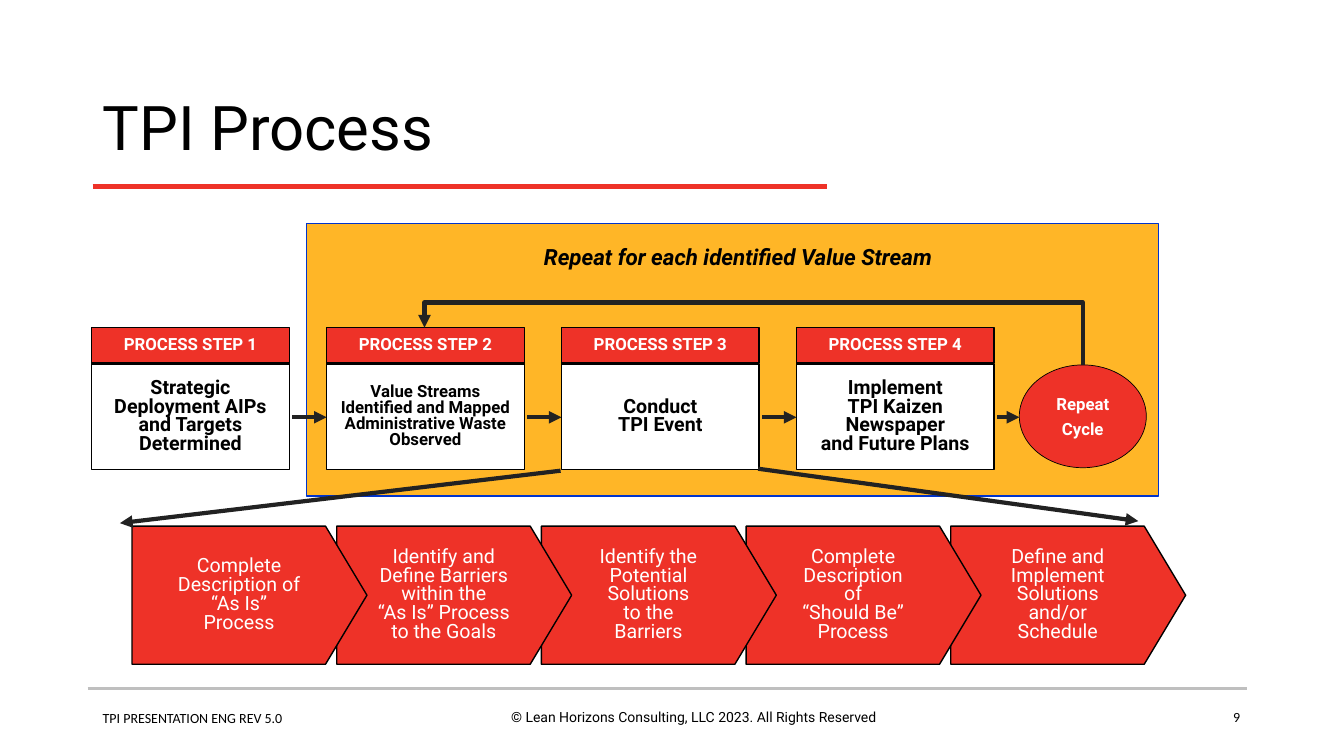
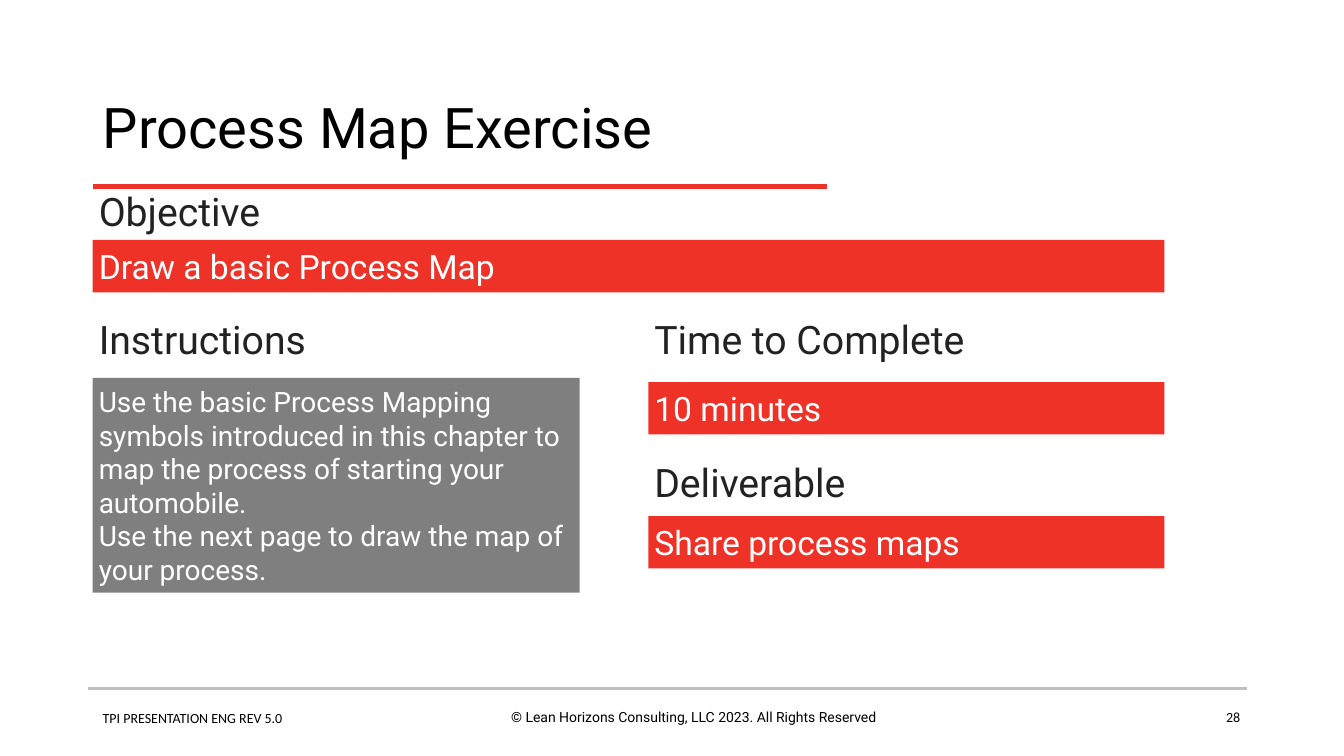
from dataclasses import dataclass

from lxml.etree import SubElement
from pptx import Presentation
from pptx.dml.color import RGBColor
from pptx.enum.shapes import MSO_CONNECTOR, MSO_SHAPE
from pptx.enum.text import MSO_ANCHOR, MSO_AUTO_SIZE, PP_ALIGN
from pptx.oxml.ns import qn
from pptx.util import Inches, Pt


@dataclass(frozen=True)
class Theme:
    red: str = "EE3228"
    amber: str = "FFB627"
    blue: str = "0033CC"
    gray: str = "7F7F7F"
    pale: str = "BFBFBF"
    dark: str = "222222"
    black: str = "000000"
    white: str = "FFFFFF"
    face: str = "Roboto"
    plain: str = "Calibri"
    foot: int = 10
    small: int = 12
    body: int = 14
    label: int = 16
    note: int = 20
    bar: int = 24
    head: int = 28


theme = Theme()
MIDDLE = {"vertical_anchor": MSO_ANCHOR.MIDDLE}
TIGHT = {f"margin_{side}": Inches(0.06) for side in ("left", "top", "right", "bottom")}
FIXED = {**MIDDLE, "word_wrap": False}
CENTER = {"alignment": PP_ALIGN.CENTER}
DENSE = {**CENTER, "line_spacing": 0.8}


def put(slide, at, texts, kind=None, fill=None, edge=None, width=1,
        ink=theme.black, frame=None, para=None, **font):
    """Place a title, a text box (no kind) or a preset shape, one paragraph per text."""
    spot = [Inches(n) for n in at]
    if kind == "title":
        shape = slide.shapes.title
        shape.left, shape.top, shape.width, shape.height = spot
    elif kind is None:
        shape = slide.shapes.add_textbox(*spot)
    else:
        shape = slide.shapes.add_shape(kind, *spot)
        shape.shadow.inherit = False
        shape.fill.solid()
        shape.fill.fore_color.rgb = RGBColor.from_string(fill)
        if edge:
            shape.line.color.rgb = RGBColor.from_string(edge)
            shape.line.width = Pt(width)
        else:
            shape.line.fill.background()
    area = shape.text_frame
    settings = {"auto_size": MSO_AUTO_SIZE.NONE, "word_wrap": True, **(frame or {})}
    for key, value in settings.items():
        setattr(area, key, value)
    for i, text in enumerate(texts):
        item = area.add_paragraph() if i else area.paragraphs[0]
        item.text = text
        for key, value in {"alignment": PP_ALIGN.LEFT, **(para or {})}.items():
            if i or key != "space_before":
                setattr(item, key, value)
        for key, value in {"name": theme.face, **font}.items():
            setattr(item.font, key, Pt(value) if key == "size" else value)
        item.font.color.rgb = RGBColor.from_string(ink)
    return shape


def join(slide, start, end, color=theme.dark, width=3, arrow=True, kind=MSO_CONNECTOR.STRAIGHT):
    link = slide.shapes.add_connector(kind, *(Inches(n) for n in (*start, *end)))
    link.line.color.rgb = RGBColor.from_string(color)
    link.line.width = Pt(width)
    if arrow:
        SubElement(link.line._get_or_add_ln(), qn("a:tailEnd"), type="triangle")
    SubElement(link.element.spPr, qn("a:effectLst"))
    return link


deck = Presentation()
deck.slide_width, deck.slide_height = Inches(13.33), Inches(7.5)

# Title, rules and footer of every slide
pages = []
for title, size, number in (("TPI Process", 44, "9"), ("Process Map Exercise", 40, "28")):
    page = deck.slides.add_slide(deck.slide_layouts[5])
    put(page, (0.92, 0.74, 11.5, 1.1), [title], "title", frame=MIDDLE,
        para={"line_spacing": 0.9}, size=size)
    join(page, (0.92, 1.85), (8.2, 1.85), theme.red, arrow=False)
    join(page, (0.87, 6.83), (12.37, 6.83), theme.pale, 2, arrow=False)
    put(page, (4.6, 6.98, 4.56, 0.44),
        ["© Lean Horizons Consulting, LLC 2023. All Rights Reserved"],
        para=CENTER, size=theme.foot)
    put(page, (0.92, 6.99, 3.5, 0.44), ["TPI PRESENTATION ENG REV 5.0"],
        name=theme.plain, size=theme.foot)
    put(page, (9.4, 6.98, 3, 0.36), [number], para={"alignment": PP_ALIGN.RIGHT},
        name=theme.plain, size=theme.foot)
    pages.append(page)
flow, task = pages

# Process: repeated value stream area
put(flow, (3.04, 2.22, 8.45, 2.7), [], MSO_SHAPE.RECTANGLE, theme.amber, theme.blue)
put(flow, (5.24, 2.36, 4.16, 0.37), ["Repeat for each identified Value Stream"],
    frame={"word_wrap": False}, para=CENTER, size=theme.label, bold=True, italic=True)
put(flow, (10.11, 3.62, 1.26, 1.02), ["Repeat", "Cycle"], MSO_SHAPE.OVAL,
    theme.red, theme.black, 0.5, theme.white, FIXED,
    {**CENTER, "space_before": Pt(3.6)}, size=theme.small, bold=True)

# Process: four steps, each with an arrow to the next
steps = (
    ("Strategic\nDeployment AIPs\nand Targets\nDetermined", theme.body, FIXED),
    ("Value Streams Identified and Mapped Administrative Waste Observed", theme.small, MIDDLE),
    ("Conduct\nTPI Event", theme.body, FIXED),
    ("Implement\nTPI Kaizen\nNewspaper\nand Future Plans", theme.body, FIXED),
)
lefts = [0.91 + 2.33 * i for i in range(len(steps))]
for i, (left, stop, (text, size, frame)) in enumerate(zip(lefts, lefts[1:] + [10.11], steps), 1):
    put(flow, (left, 3.61, 1.96, 1.05), [text], MSO_SHAPE.RECTANGLE, theme.white,
        theme.black, frame=frame, para=DENSE, size=size, bold=True)
    put(flow, (left, 3.25, 1.96, 0.35), [f"PROCESS STEP {i}"], MSO_SHAPE.RECTANGLE, theme.red,
        theme.black, ink=theme.white, frame=FIXED, para=DENSE, size=theme.small, bold=True)
    join(flow, (left + 1.99, 4.14), (stop, 4.14))

# Process: loop back to step 2, an elbow turned a quarter to leave upwards
loop = join(flow, (7.29, 6.7), (7.66, 0.17), kind=MSO_CONNECTOR.ELBOW)
loop.element.spPr.find(qn("a:xfrm")).set("rot", "16200000")
bends = loop.element.spPr.find(qn("a:prstGeom")).find(qn("a:avLst"))
SubElement(bends, qn("a:gd"), name="adj1", fmla="val 167400")

# Process: event stages, drawn from the right so that each tip overlaps the next
stages = (
    "Complete\nDescription of\n“As Is”\nProcess",
    "Identify and\nDefine Barriers\nwithin the\n“As Is” Process\nto the Goals",
    "Identify the\nPotential\nSolutions\nto the\nBarriers",
    "Complete\nDescription\nof\n“Should Be”\nProcess",
    "Define and\nImplement\nSolutions\nand/or\nSchedule",
)
for i, text in reversed(list(enumerate(stages))):
    stage = put(flow, (1.31 + 2.03 * i, 5.22, 2.33, 1.37), [text], MSO_SHAPE.PENTAGON,
                theme.red, theme.black, ink=theme.white, frame=FIXED, para=DENSE,
                size=theme.body)
    stage.adjustments[0] = 0.3
join(flow, (5.56, 4.67), (1.19, 5.19))
join(flow, (7.52, 4.65), (11.29, 5.17))

# Exercise: headings and filled boxes
for left, top, text in ((0.92, 1.8, "Objective"), (0.92, 3.07, "Instructions"),
                        (6.43, 3.07, "Time to Complete"), (6.43, 4.49, "Deliverable")):
    put(task, (left, top, 4.83, 0.58), [text], ink=theme.dark, frame=TIGHT, size=theme.head)

notes = [
    "Use the basic Process Mapping symbols introduced in this chapter to map "
    "the process of starting your automobile.",
    "Use the next page to draw the map of your process.",
]
for at, texts, fill, size in (
    ((0.92, 2.38, 10.63, 0.52), ["Draw a basic Process Map"], theme.red, theme.bar),
    ((0.92, 3.75, 4.83, 2.13), notes, theme.gray, theme.note),
    ((6.43, 3.79, 5.12, 0.52), ["10 minutes"], theme.red, theme.bar),
    ((6.43, 5.12, 5.12, 0.52), ["Share process maps"], theme.red, theme.bar),
):
    put(task, at, texts, MSO_SHAPE.RECTANGLE, fill, ink=theme.white,
        frame={**MIDDLE, **TIGHT}, size=size)

deck.save("out.pptx")
